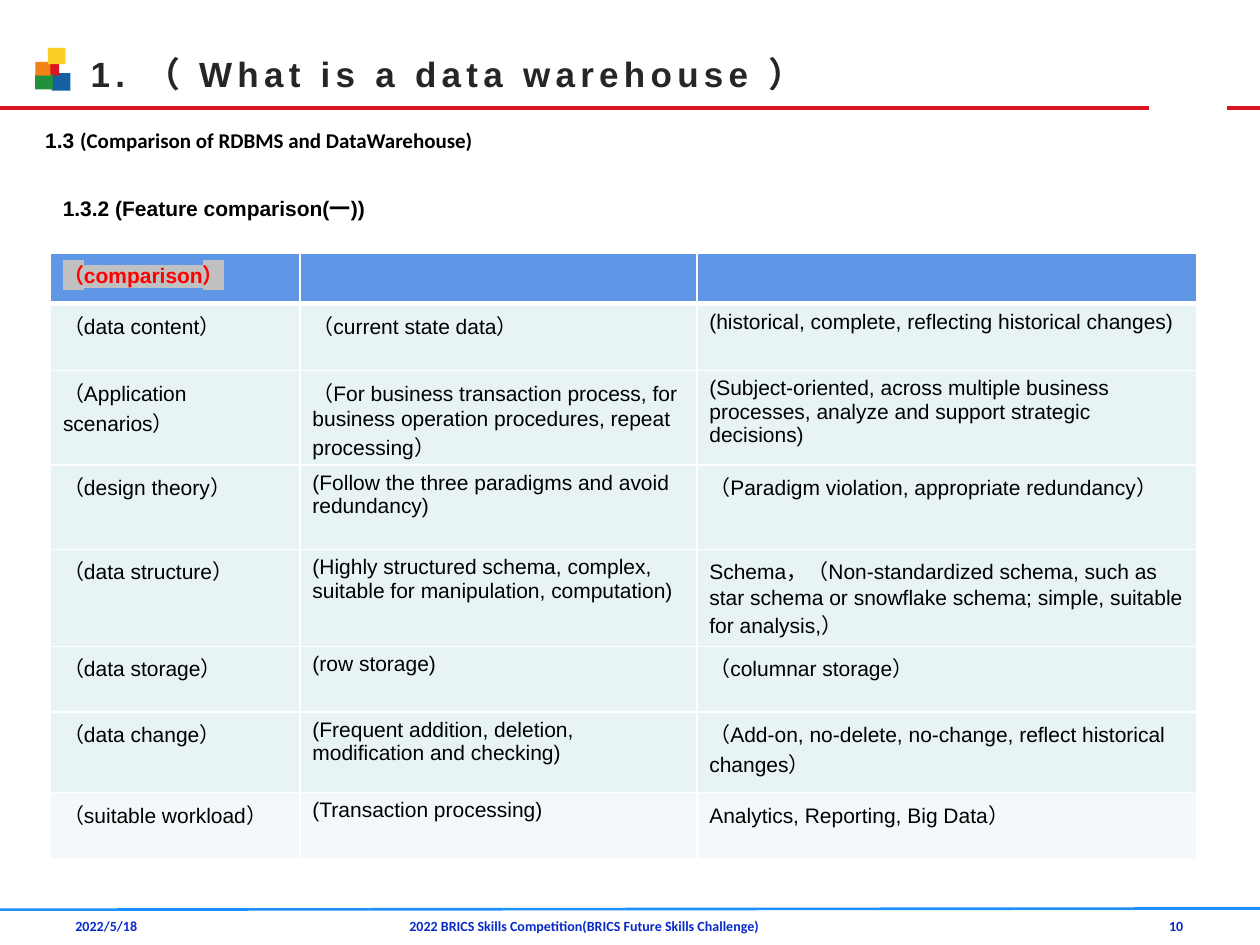
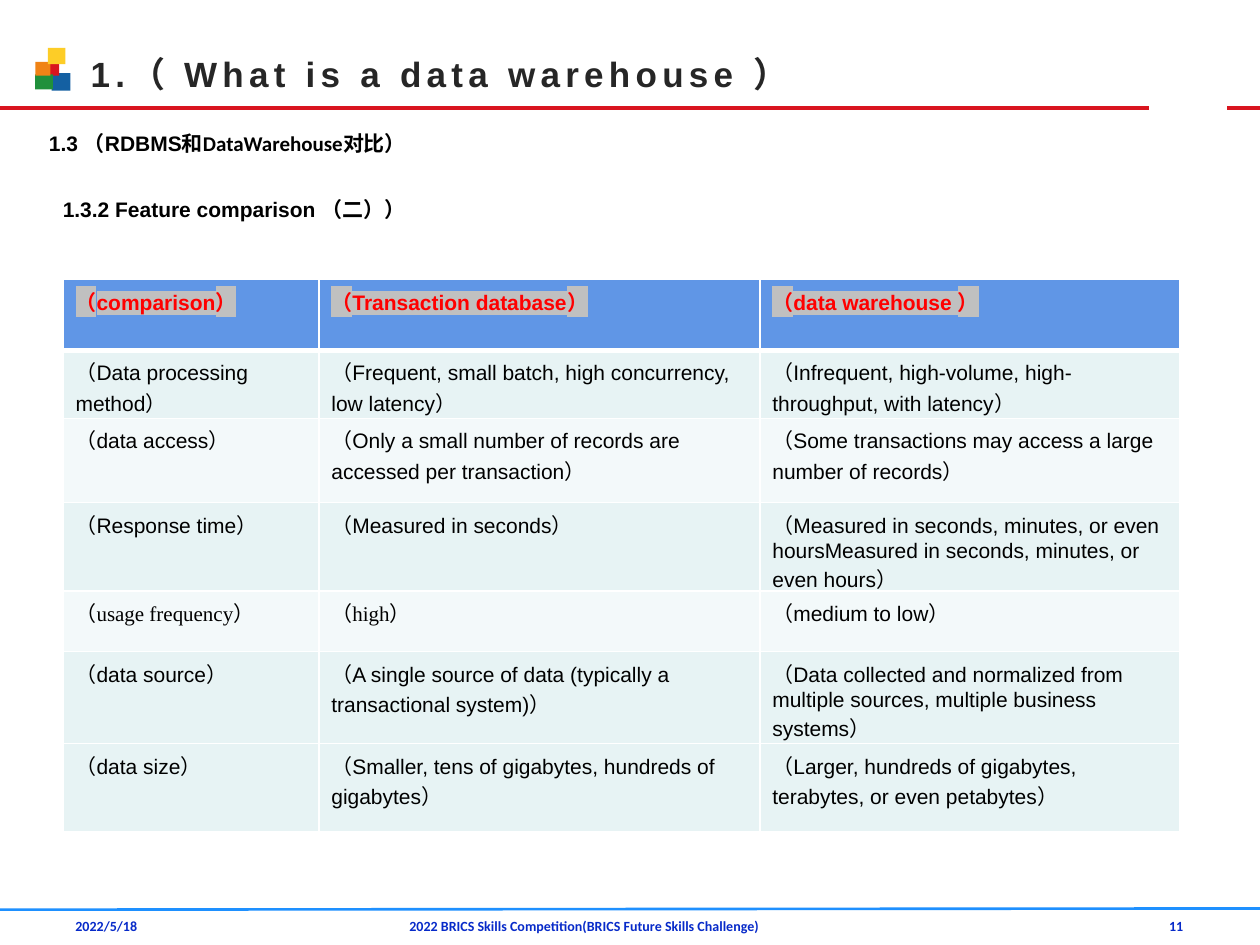
from dataclasses import dataclass

from lxml import etree
from pptx import Presentation
from pptx.dml.color import RGBColor
from pptx.enum.shapes import MSO_CONNECTOR, MSO_SHAPE
from pptx.enum.text import MSO_ANCHOR, MSO_AUTO_SIZE, PP_ALIGN
from pptx.oxml.ns import qn
from pptx.util import Inches, Pt

LEFT, RIGHT = PP_ALIGN.LEFT, PP_ALIGN.RIGHT
TOP, MIDDLE = MSO_ANCHOR.TOP, MSO_ANCHOR.MIDDLE
NO_AUTOSIZE = MSO_AUTO_SIZE.NONE
STRAIGHT = MSO_CONNECTOR.STRAIGHT
RECTANGLE = MSO_SHAPE.RECTANGLE
TITLE_ONLY = 5
GRID_COLUMNS, GRID_ROWS = 100, 75


@dataclass(frozen=True)
class Theme:
    sans: str = "Arial"
    humanist: str = "Calibri"
    serif: str = "Times New Roman"
    title_size: float = 20
    text_size: float = 12
    footer_size: float = 8
    title: str = "262626"
    text: str = "000000"
    footer: str = "072AC9"
    accent: str = "FF0000"
    highlight: str = "C0C0C0"
    header_fill: str = "6096E6"
    row_fill: str = "E7F3F4"
    pale_fill: str = "F3F9FA"
    border: str = "FFFFFF"
    title_rule: str = "D9151F"
    footer_rule: str = "1E90FF"


THEME = Theme()
TITLE_FORMAT = {"name": THEME.sans, "size": Pt(THEME.title_size), "bold": True}
HEADING_FORMAT = {"name": THEME.sans, "size": Pt(THEME.text_size), "bold": True}
HUMANIST_FORMAT = {**HEADING_FORMAT, "name": THEME.humanist}
CELL_FORMAT = {**HEADING_FORMAT, "bold": False}
SERIF_FORMAT = {**CELL_FORMAT, "name": THEME.serif}
FOOTER_FORMAT = {"name": THEME.humanist, "size": Pt(THEME.footer_size), "bold": True}

# Coloured blocks beside the title: left, top, width, height, fill
BLOCKS = [
    (4.1, 5.8, 1.5, 1.4, "1460A2"),
    (3.7, 5.1, 1.0, 0.9, "D9151F"),
    (2.8, 5.9, 1.4, 1.2, "20903B"),
    (2.8, 4.9, 1.2, 1.1, "F08316"),
    (3.8, 3.8, 1.4, 1.3, "FDCD27"),
]
# Rules: start column, start row, end column, end row, colour, points
RULES = [
    (0, 72.2, 100, 72.1, THEME.footer_rule, 1.5),
    (0, 8.6, 91.2, 8.6, THEME.title_rule, 2.25),
    (97.4, 8.6, 100, 8.6, THEME.title_rule, 2.25),
]

SLIDES = [
    {
        "number": "10",
        "title": "1. （ What is a data warehouse ）",
        "section": [("1.3 ", HEADING_FORMAT),
                    ("(Comparison of RDBMS and DataWarehouse)", HUMANIST_FORMAT)],
        "section_box": (2.6, 9.6, 93.5, 3),
        "topic": "1.3.2 (Feature comparison(一))",
        "topic_box": (4, 15, 66, 3),
        "table": {
            "left": 4, "top": 20.1,
            "widths": [19.8, 31.5, 39.7],
            "heights": [4, 5.3, 7.5, 6.7, 7.7, 5.2, 6.4, 5.3],
            "pale_rows": {7},
            "serif_cells": set(),
            "cells": [
                ("（comparison）", "", ""),
                ("（data content）", "（current state data）",
                 "(historical, complete, reflecting historical changes)"),
                ("（Application scenarios）",
                 "（For business transaction process, for business operation "
                 "procedures, repeat processing）",
                 "(Subject-oriented, across multiple business processes, "
                 "analyze and support strategic decisions)"),
                ("（design theory）",
                 "(Follow the three paradigms and avoid redundancy)",
                 "（Paradigm violation, appropriate redundancy）"),
                ("（data structure）",
                 "(Highly structured schema, complex, suitable for "
                 "manipulation, computation)",
                 "Schema，（Non-standardized schema, such as star schema or "
                 "snowflake schema; simple, suitable for analysis,）"),
                ("（data storage）", "(row storage)", "（columnar storage）"),
                ("（data change）",
                 "(Frequent addition, deletion, modification and checking)",
                 "（Add-on, no-delete, no-change, reflect historical changes）"),
                ("（suitable workload）", "(Transaction processing)",
                 "Analytics, Reporting, Big Data）"),
            ],
        },
    },
    {
        "number": "11",
        "title": "1.（ What is a data warehouse ）",
        "section": [("1.3 ", HEADING_FORMAT), ("（", HUMANIST_FORMAT),
                    ("RDBMS和", HEADING_FORMAT),
                    ("DataWarehouse对比）", HUMANIST_FORMAT)],
        "section_box": (2.9, 9.9, 97.1, 3),
        "topic": "1.3.2 Feature comparison （二））",
        "topic_box": (4, 15.1, 66, 3),
        "table": {
            "left": 5, "top": 22.2,
            "widths": [20.3, 35, 33.3],
            "heights": [5.6, 5.4, 6.7, 6.4, 4.8, 7.3, 7],
            "pale_rows": {2, 4},
            "serif_cells": {(4, 0), (4, 1)},
            "cells": [
                ("（comparison）", "（Transaction database）", "（data warehouse ）"),
                ("（Data processing method）",
                 "（Frequent, small batch, high concurrency, low latency）",
                 "（Infrequent, high-volume, high-throughput, with latency）"),
                ("（data access）",
                 "（Only a small number of records are accessed per transaction）",
                 "（Some transactions may access a large number of records）"),
                ("（Response time）", "（Measured in seconds）",
                 "（Measured in seconds, minutes, or even hoursMeasured in "
                 "seconds, minutes, or even hours）"),
                ("（usage frequency）", "（high）", "（medium to low）"),
                ("（data source）",
                 "（A single source of data (typically a transactional system)）",
                 "（Data collected and normalized from multiple sources, "
                 "multiple business systems）"),
                ("（data size）",
                 "（Smaller, tens of gigabytes, hundreds of gigabytes）",
                 "（Larger, hundreds of gigabytes, terabytes, or even petabytes）"),
            ],
        },
    },
]


def add_color(parent, tag, color):
    element = etree.SubElement(parent, qn(tag))
    etree.SubElement(element, qn("a:srgbClr"), val=color)
    return element


class SlideBuilder:
    """Holds the theme and the current slide, and draws on a grid."""

    def __init__(self, presentation, theme):
        self.presentation = presentation
        self.theme = theme
        self.slide = None

    def columns(self, count):
        return round(self.presentation.slide_width * count / GRID_COLUMNS)

    def rows(self, count):
        return round(self.presentation.slide_height * count / GRID_ROWS)

    def box(self, left, top, width, height):
        return (self.columns(left), self.rows(top),
                self.columns(width), self.rows(height))

    def new_slide(self):
        layout = self.presentation.slide_layouts[TITLE_ONLY]
        self.slide = self.presentation.slides.add_slide(layout)

    def add_text_run(self, paragraph, text, font_format, color):
        run = paragraph.add_run()
        run.text = text
        for name, value in font_format.items():
            setattr(run.font, name, value)
        run.font.color.rgb = RGBColor.from_string(color)
        return run

    def title(self, text):
        shape = self.slide.shapes.title
        shape.left, shape.top, shape.width, shape.height = self.box(6.2, 3.2, 85.2, 5.2)
        frame = shape.text_frame
        settings = {"word_wrap": True, "auto_size": NO_AUTOSIZE,
                    "vertical_anchor": MIDDLE}
        for name, value in settings.items():
            setattr(frame, name, value)
        paragraph = frame.paragraphs[0]
        paragraph.alignment = LEFT
        run = self.add_text_run(paragraph, text, TITLE_FORMAT, self.theme.title)
        run._r.get_or_add_rPr().set("spc", "300")

    def text(self, box, runs, color, alignment=LEFT):
        frame = self.slide.shapes.add_textbox(*self.box(*box)).text_frame
        frame.word_wrap = True
        frame.vertical_anchor = TOP
        paragraph = frame.paragraphs[0]
        paragraph.alignment = alignment
        for text, font_format in runs:
            self.add_text_run(paragraph, text, font_format, color)

    def block(self, left, top, width, height, color):
        shape = self.slide.shapes.add_shape(RECTANGLE, *self.box(left, top, width, height))
        shape.shadow.inherit = False
        shape.fill.solid()
        shape.fill.fore_color.rgb = RGBColor.from_string(color)
        shape.line.fill.background()

    def rule(self, start_column, start_row, end_column, end_row, color, points):
        connector = self.slide.shapes.add_connector(
            STRAIGHT, self.columns(start_column), self.rows(start_row),
            self.columns(end_column), self.rows(end_row))
        connector.line.color.rgb = RGBColor.from_string(color)
        connector.line.width = Pt(points)
        etree.SubElement(connector._element.spPr, qn("a:effectLst"))

    def cell_borders(self, cell, row):
        properties = cell._tc.get_or_add_tcPr()
        points = {"L": 1, "R": 1, "T": 3 if row == 1 else 1, "B": 3 if row == 0 else 1}
        for side, width in points.items():
            line = etree.SubElement(properties, qn(f"a:ln{side}"), w=str(int(Pt(width))))
            add_color(line, "a:solidFill", self.theme.border)

    def header_text(self, paragraph, text):
        run = self.add_text_run(paragraph, text, HEADING_FORMAT, self.theme.accent)
        properties = run._r.get_or_add_rPr()
        highlight = add_color(properties, "a:highlight", self.theme.highlight)
        properties.find(qn("a:solidFill")).addnext(highlight)

    def table(self, left, top, widths, heights, cells, pale_rows, serif_cells):
        box = self.box(left, top, sum(widths), sum(heights))
        table = self.slide.shapes.add_table(len(heights), len(widths), *box).table
        table.horz_banding = False
        for column, width in zip(table.columns, widths):
            column.width = self.columns(width)
        for row, height in zip(table.rows, heights):
            row.height = self.rows(height)
        for row, texts in enumerate(cells):
            fill = self.theme.pale_fill if row in pale_rows else self.theme.row_fill
            for column, text in enumerate(texts):
                cell = table.cell(row, column)
                self.cell_borders(cell, row)
                cell.fill.solid()
                cell.fill.fore_color.rgb = RGBColor.from_string(
                    self.theme.header_fill if row == 0 else fill)
                paragraph = cell.text_frame.paragraphs[0]
                if row == 0:
                    self.header_text(paragraph, text)
                else:
                    serif = (row, column) in serif_cells
                    self.add_text_run(paragraph, text,
                                      SERIF_FORMAT if serif else CELL_FORMAT,
                                      self.theme.text)

    def frame(self, number):
        for rule in RULES:
            self.rule(*rule)
        for block in BLOCKS:
            self.block(*block)
        footers = [
            ((5, 72.3, 14, 3.5), "2022/5/18", LEFT),
            ((72.8, 72.3, 22.1, 3.5), number, RIGHT),
            ((31.5, 72.3, 39.1, 3.5),
             "2022 BRICS Skills Competition(BRICS Future Skills Challenge)", LEFT),
        ]
        for box, text, alignment in footers:
            self.text(box, [(text, FOOTER_FORMAT)], self.theme.footer, alignment)


def main():
    presentation = Presentation()
    presentation.slide_width = Inches(10)
    presentation.slide_height = Inches(7.5)
    builder = SlideBuilder(presentation, THEME)
    for content in SLIDES:
        builder.new_slide()
        builder.frame(content["number"])
        builder.title(content["title"])
        builder.table(**content["table"])
        builder.text(content["section_box"], content["section"], THEME.text)
        builder.text(content["topic_box"], [(content["topic"], HEADING_FORMAT)], THEME.text)
    presentation.save("out.pptx")


if __name__ == "__main__":
    main()
